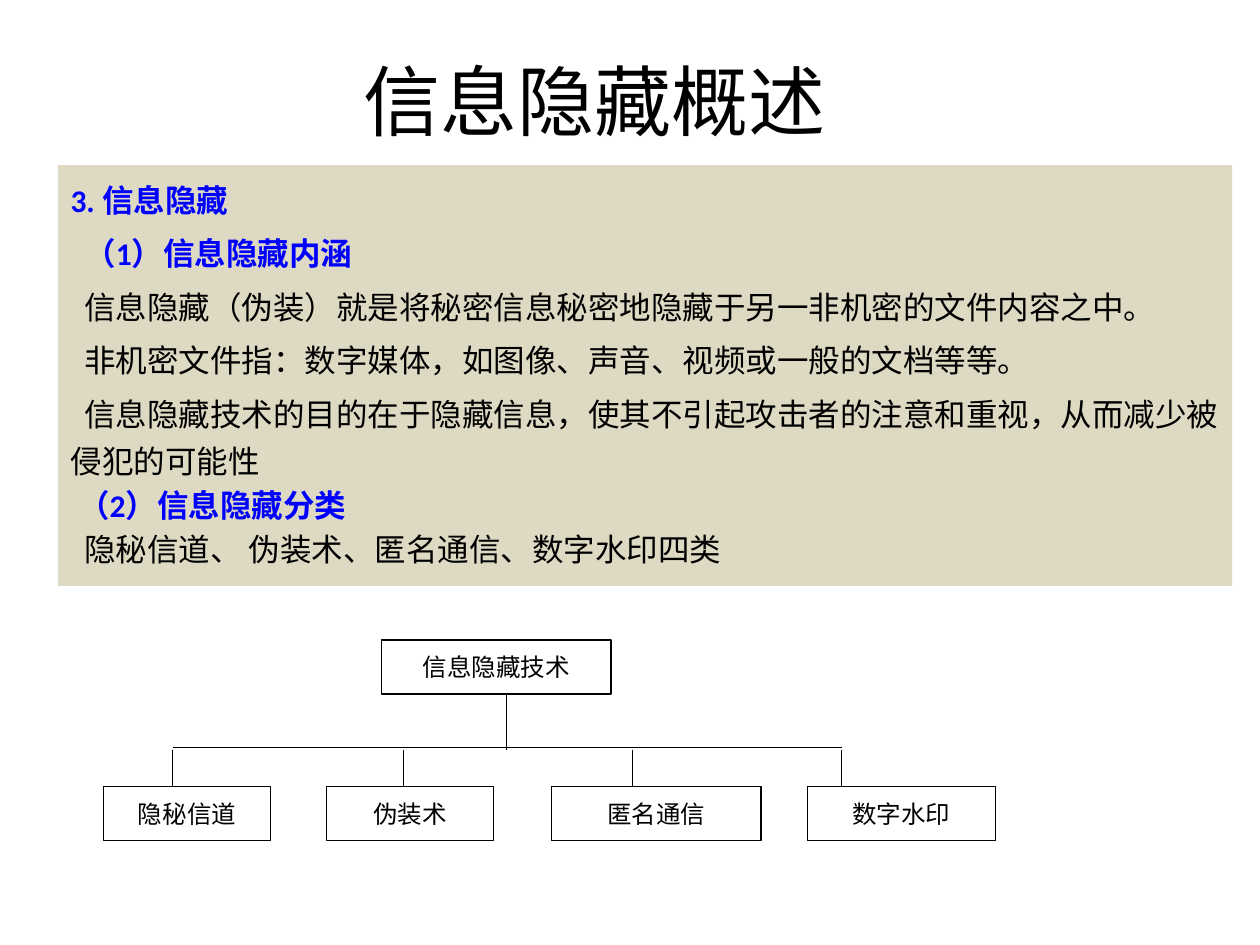
from lxml import etree
from pptx import Presentation
from pptx.dml.color import RGBColor
from pptx.enum import shapes, text
from pptx.oxml import ns
from pptx.util import Inches, Pt

BLACK = RGBColor(0x00, 0x00, 0x00)
WHITE = RGBColor(0xFF, 0xFF, 0xFF)
BLUE = RGBColor(0x00, 0x00, 0xFF)
BEIGE = RGBColor(0xDD, 0xD9, 0xC3)
CJK_FONT = "Noto Sans CJK SC"

HEADING = dict(font="Calibri", color=BLUE, bold=True)
# Text, first-line indent in inches, line spacing, format
BODY = [
    ("3. 信息隐藏", 0, 1.25, HEADING),
    ("（1）信息隐藏内涵", 0.11, 1.25, HEADING),
    ("信息隐藏（伪装）就是将秘密信息秘密地隐藏于另一非机密的文件内容之中。", 0.11, 1.25, {}),
    ("非机密文件指：数字媒体，如图像、声音、视频或一般的文档等等。", 0.11, 1.25, {}),
    ("信息隐藏技术的目的在于隐藏信息，使其不引起攻击者的注意和重视，"
     "从而减少被侵犯的可能性", 0.11, 1.25, {}),
    ("（2）信息隐藏分类", 0.06, 1.0, HEADING),
    ("隐秘信道、 伪装术、匿名通信、数字水印四类", 0.11, 1.0, {}),
]

ROOT = ("信息隐藏技术", 3.03, 1.82)
ROOT_TOP, ROOT_STEM = 5.08, 4.02
# Label, left, width, x of the branch above
BRANCHES = [
    ("隐秘信道", 0.82, 1.33, 1.37),
    ("伪装术", 2.59, 1.33, 3.2),
    ("匿名通信", 4.38, 1.66, 5.02),
    ("数字水印", 6.41, 1.49, 6.68),
]
BRANCH_TOP, BOX_HEIGHT = 6.24, 0.43
RAIL_Y, STEM_Y = 5.93, 5.95


def write_text(paragraph, content, size=18, font=CJK_FONT, color=BLACK, bold=False, align=None):
    """Add one formatted run to a paragraph."""
    run = paragraph.add_run()
    run.text = content
    run.font.size, run.font.name, run.font.bold = Pt(size), font, bold
    run.font.color.rgb = color
    properties = run.font._element
    east_asian = etree.SubElement(properties, ns.qn("a:ea"), typeface=CJK_FONT)
    properties.find(ns.qn("a:latin")).addnext(east_asian)
    if align is not None:
        paragraph.alignment = align


def place(shape, left, top, width, height):
    """Set the position and size of a shape in inches."""
    shape.left, shape.top = Inches(left), Inches(top)
    shape.width, shape.height = Inches(width), Inches(height)


def fill_title(title):
    """Place and write the slide title."""
    place(title, 0.46, 0.26, 8.52, 1.06)
    write_text(title.text_frame.paragraphs[0], "信息隐藏概述", size=44, font="Calibri",
               align=text.PP_ALIGN.CENTER)


def fill_body(body):
    """Place the body placeholder and write its unbulleted paragraphs."""
    place(body, 0.46, 1.31, 9.32, 3.34)
    body.fill.solid()
    body.fill.fore_color.rgb = BEIGE
    frame = body.text_frame
    frame.auto_size = text.MSO_AUTO_SIZE.NONE
    for index, (content, indent, spacing, style) in enumerate(BODY):
        paragraph = frame.add_paragraph() if index else frame.paragraphs[0]
        paragraph.line_spacing = spacing
        properties = paragraph._p.get_or_add_pPr()
        properties.set("marL", "0")
        properties.set("indent", str(Inches(indent)))
        etree.SubElement(properties, ns.qn("a:buNone"))
        write_text(paragraph, content, **style)


def add_box(slide, label, left, top, width):
    """Add an outlined box with a centred label."""
    box = slide.shapes.add_shape(shapes.MSO_SHAPE.RECTANGLE, Inches(left), Inches(top),
                                 Inches(width), Inches(BOX_HEIGHT))
    box.shadow.inherit = False
    box.fill.solid()
    box.fill.fore_color.rgb = WHITE
    box.line.color.rgb = BLACK
    box.line.width = Pt(0.75)
    box.text_frame.vertical_anchor = text.MSO_ANCHOR.MIDDLE
    write_text(box.text_frame.paragraphs[0], label, size=14, font="Times New Roman",
               align=text.PP_ALIGN.CENTER)


def add_line(slide, x1, y1, x2, y2):
    """Add a thin black straight line."""
    line = slide.shapes.add_connector(shapes.MSO_CONNECTOR.STRAIGHT, Inches(x1), Inches(y1),
                                      Inches(x2), Inches(y2))
    line.line.color.rgb = BLACK
    line.line.width = Pt(0.75)
    etree.SubElement(line._element.spPr, ns.qn("a:effectLst"))


def add_tree(slide):
    """Draw the classification tree."""
    label, left, width = ROOT
    add_box(slide, label, left, ROOT_TOP, width)
    add_line(slide, ROOT_STEM, ROOT_TOP + BOX_HEIGHT, ROOT_STEM, STEM_Y)
    add_line(slide, BRANCHES[0][3], RAIL_Y, BRANCHES[-1][3], RAIL_Y)
    for label, left, width, stem in BRANCHES:
        add_box(slide, label, left, BRANCH_TOP, width)
        add_line(slide, stem, STEM_Y, stem, BRANCH_TOP)


def main():
    """Build and save the slide."""
    presentation = Presentation()
    presentation.slide_width, presentation.slide_height = Inches(10), Inches(7.5)
    slide = presentation.slides.add_slide(presentation.slide_layouts[1])
    fill_title(slide.shapes.title)
    fill_body(slide.placeholders[1])
    add_tree(slide)
    presentation.save("out.pptx")


main()
